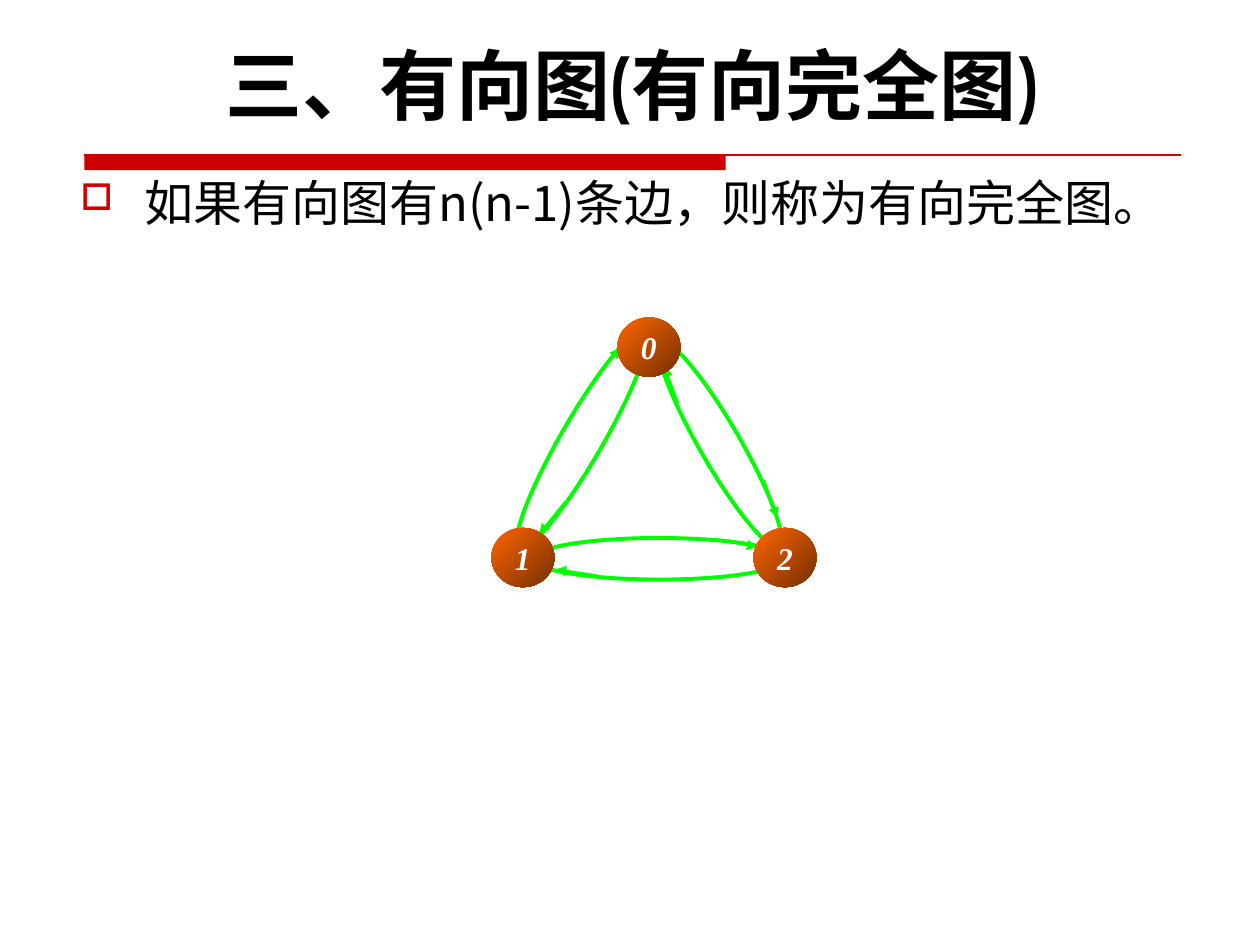
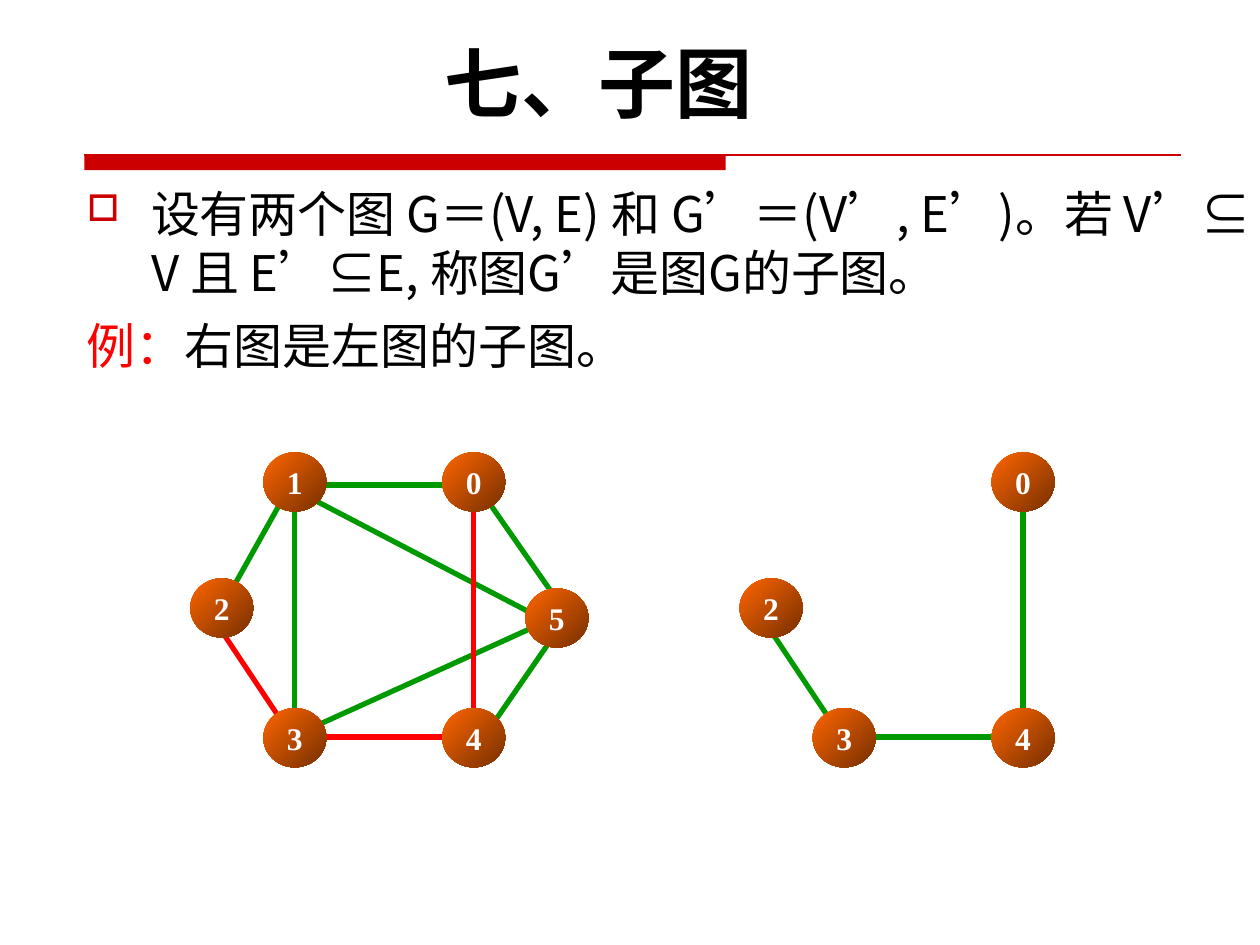
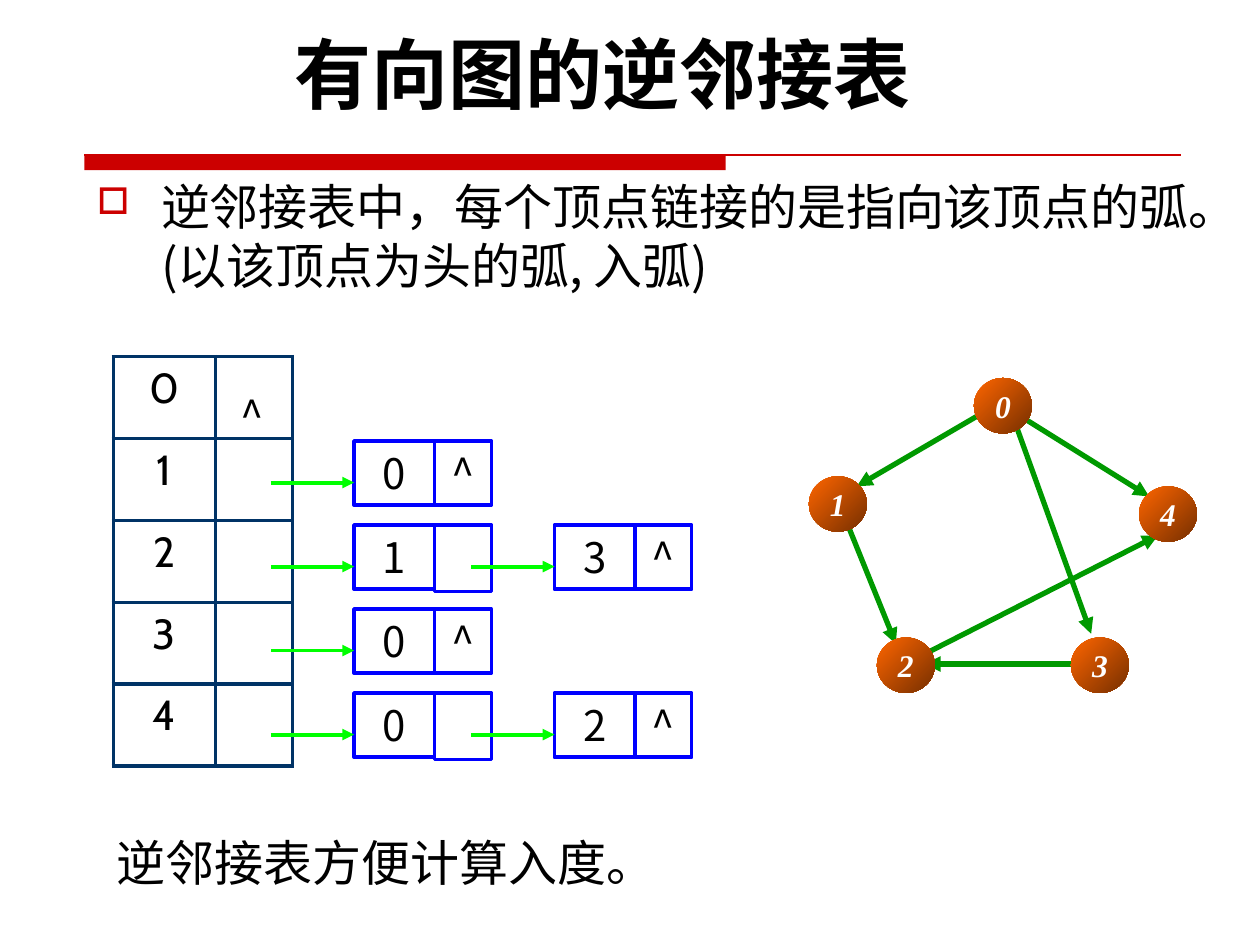
from lxml.etree import SubElement
from pptx import Presentation
from pptx.dml.color import RGBColor
from pptx.enum.shapes import MSO_CONNECTOR, MSO_SHAPE
from pptx.enum.text import MSO_ANCHOR, PP_ALIGN
from pptx.oxml.ns import qn
from pptx.util import Inches, Pt

COLORS = {
    "band": "CC0000", "text": "000000", "white": "FFFFFF", "red": "FF0000",
    "edge": "009900", "arrow": "00FF00", "node_light": "FF6600",
    "node_dark": "762F00", "table": "003366", "cell": "0000FF",
}
TITLE_FONT, BODY_FONT, NODE_FONT = "Cabin", "Noto Sans CJK SC", "Times New Roman"

# Complete directed graph: nodes are label -> (left, top)
COMPLETE_NODES = {"1": (3.9, 4.19), "2": (5.98, 4.19), "0": (4.9, 2.52)}
# Each oval (left, top, width, height, rotation) carries two opposite arcs
COMPLETE_OVALS = [
    (4.23, 4.27, 2, 0.33, 0),
    (3.62, 3.32, 2, 0.33, 300),
    (4.78, 3.37, 1.87, 0.32, 60),
]
COMPLETE_ARROWS = [
    (5.68, 4.28, 6.01, 4.34), (4.74, 4.57, 4.41, 4.52),
    (4.71, 3.03, 4.92, 2.76), (4.49, 3.98, 4.28, 4.24),
    (6.06, 3.81, 6.17, 4.11), (5.38, 3.2, 5.27, 2.91),
]

# Graph G; its subgraph is redrawn to the right
GRAPH_NODES = {
    "1": (2.09, 3.59), "3": (2.09, 5.62), "2": (1.51, 4.59),
    "5": (4.17, 4.67), "4": (3.51, 5.62), "0": (3.51, 3.59),
}
GRAPH_EDGES = [
    (3.59, 3.85, 2.59, 3.85), (3.84, 3.93, 4.42, 4.76),
    (2.26, 3.93, 1.84, 4.68), (2.34, 5.76, 2.34, 4.01),
    (4.34, 4.93, 2.42, 3.93), (4.34, 4.93, 2.51, 5.76),
    (4.42, 5.01, 3.84, 5.85),
]
SUBGRAPH_LABELS = "3240"
SUBGRAPH_EDGES = [
    (3.76, 4.01, 3.76, 5.68), (2.26, 5.76, 1.76, 5.01), (3.67, 5.85, 2.42, 5.85),
]
SUBGRAPH_SHIFT = 4.36

# Directed graph and its inverse adjacency list
DIRECTED_NODES = {
    "1": (6.42, 3.78), "3": (8.5, 5.06), "2": (6.96, 5.06),
    "4": (9.04, 3.86), "0": (7.73, 3),
}
DIRECTED_EDGES = [
    (8.11, 3.31, 9.12, 3.94), (6.73, 4.17, 7.11, 5.11),
    (7.88, 3.23, 6.8, 3.86), (8.04, 3.31, 8.66, 5.03),
    (8.5, 5.27, 7.34, 5.27), (7.34, 5.19, 9.19, 4.25),
]
INCOMING = [[], ["0"], ["1", "3"], ["0"], ["0", "2"]]


def rgb(name):
    return RGBColor.from_string(COLORS[name])


def style(paragraph, size, font=BODY_FONT, color="text", bold=False, italic=False,
          align=PP_ALIGN.LEFT):
    paragraph.alignment = align
    paragraph.font.size = Pt(size)
    paragraph.font.name = font
    paragraph.font.bold = bold
    paragraph.font.italic = italic
    if color:
        paragraph.font.color.rgb = rgb(color)
    properties = paragraph._p.pPr.find(qn("a:defRPr"))
    SubElement(properties, qn("a:ea"), typeface=BODY_FONT)


def add_bullet(paragraph):
    properties = paragraph._p.get_or_add_pPr()
    properties.set("marL", str(Inches(0.51)))
    properties.set("indent", str(-Inches(0.51)))
    color = SubElement(properties, qn("a:buClr"))
    SubElement(color, qn("a:srgbClr"), val=COLORS["band"])
    SubElement(properties, qn("a:buSzPct"), val="75000")
    SubElement(properties, qn("a:buChar"), char="□")


def add_text(slide, left, top, width, height, text, size=28, bullet=False, **font):
    box = slide.shapes.add_textbox(Inches(left), Inches(top), Inches(width), Inches(height))
    frame = box.text_frame
    frame.word_wrap = True
    paragraph = frame.paragraphs[0]
    paragraph.text = text
    if bullet:
        add_bullet(paragraph)
    style(paragraph, size, **font)
    return frame


def add_line(slide, ends, color, width, arrow=False):
    line = slide.shapes.add_connector(MSO_CONNECTOR.STRAIGHT, *map(Inches, ends))
    line.line.color.rgb = rgb(color)
    line.line.width = Pt(width)
    if arrow:
        SubElement(line.line._get_or_add_ln(), qn("a:tailEnd"), type="triangle")
    SubElement(line._element.spPr, qn("a:effectLst"))


def add_outline(slide, kind, left, top, width, height, color, weight):
    """Add an unfilled shape."""
    shape = slide.shapes.add_shape(kind, *map(Inches, (left, top, width, height)))
    shape.shadow.inherit = False
    shape.fill.background()
    shape.line.color.rgb = rgb(color)
    shape.line.width = Pt(weight)
    return shape


def add_nodes(slide, nodes, width=0.5, height=0.47, italic=False):
    for label, (left, top) in nodes.items():
        node = slide.shapes.add_shape(
            MSO_SHAPE.OVAL, *map(Inches, (left, top, width, height)))
        node.shadow.inherit = False
        node.line.fill.background()
        node.fill.gradient()
        node.fill.gradient_angle = 315
        for stop, color, position in zip(
                node.fill.gradient_stops, ("node_light", "node_dark"), (0, 1)):
            stop.color.rgb = rgb(color)
            stop.position = position
        frame = node.text_frame
        frame.word_wrap = False
        frame.margin_left = frame.margin_right = 0
        frame.vertical_anchor = MSO_ANCHOR.MIDDLE
        frame.text = label
        style(frame.paragraphs[0], 18, NODE_FONT, "white", True, italic, PP_ALIGN.CENTER)


def add_slide(presentation, title, left, top):
    """Add a slide with the red band and a title."""
    slide = presentation.slides.add_slide(presentation.slide_layouts[6])
    band = slide.shapes.add_shape(
        MSO_SHAPE.RECTANGLE, *map(Inches, (0.67, 1.23, 5.09, 0.12)))
    band.shadow.inherit = False
    band.fill.solid()
    band.fill.fore_color.rgb = rgb("band")
    band.line.fill.background()
    add_line(slide, (0.67, 1.23, 9.37, 1.23), "band", 0.75)
    add_text(slide, left, top, 9.25, 0.84, title, 44, font=TITLE_FONT, bold=True,
             align=PP_ALIGN.CENTER)
    return slide


def add_cell(slide, left, top, width, height, text=""):
    cell = add_outline(slide, MSO_SHAPE.RECTANGLE, left, top, width, height, "cell", 2)
    cell.text_frame.vertical_anchor = MSO_ANCHOR.TOP
    if text:
        cell.text_frame.text = text
        style(cell.text_frame.paragraphs[0], 24, align=PP_ALIGN.CENTER)


def add_vertex_table(slide):
    table_frame = slide.shapes.add_table(
        len(INCOMING), 2, *map(Inches, (0.9, 2.83, 1.42, 3.25)))
    table = table_frame.table
    table.first_row = table.horz_banding = False
    for column, width in zip(table.columns, (0.81, 0.61)):
        column.width = Inches(width)
    for index, row in enumerate(table.rows):
        row.height = Inches(0.65)
        row.cells[0].text = str(index)
        style(row.cells[0].text_frame.paragraphs[0], 24, TITLE_FONT, align=PP_ALIGN.CENTER)
        for cell in row.cells:
            properties = cell._tc.get_or_add_tcPr()
            for side in ("lnL", "lnR", "lnT", "lnB"):
                border = SubElement(properties, qn(f"a:{side}"), w=str(Pt(2.25)))
                fill = SubElement(border, qn("a:solidFill"))
                SubElement(fill, qn("a:srgbClr"), val=COLORS["table"])
            cell.fill.background()


def add_chains(slide):
    """Draw the linked list cells of each vertex that has incoming arcs."""
    for row, sources in enumerate(INCOMING):
        top = 3.5 + (row - 1) * 2 / 3
        for position, source in enumerate(sources):
            left = 2.81 + position * 1.59
            is_last = position == len(sources) - 1
            add_cell(slide, left, top, 0.64, 0.51, source)
            add_cell(slide, left + 0.64, top, 0.45, 0.51 if is_last else 0.53,
                     "^" if is_last else "")
            add_line(slide, (left - 0.66, top + 0.33, left, top + 0.33), "arrow", 2.25, True)


def build_complete_graph(presentation):
    slide = add_slide(presentation, "三、有向图(有向完全图)", 0.39, 0.25)
    add_text(slide, 0.54, 1.32, 9.58, 0.67,
             "如果有向图有n(n-1)条边，则称为有向完全图。", bullet=True)
    for *place, rotation in COMPLETE_OVALS:
        oval = add_outline(slide, MSO_SHAPE.OVAL, *place, "arrow", 2.25)
        oval.rotation = rotation
    for ends in COMPLETE_ARROWS:
        add_line(slide, ends, "arrow", 1.5, True)
    add_nodes(slide, COMPLETE_NODES, italic=True)


def build_subgraph(presentation):
    slide = add_slide(presentation, "七、子图", 0.13, 0.23)
    frame = add_text(
        slide, 0.59, 1.41, 9.58, 4.42,
        "设有两个图 G＝(V, E) 和 G’＝(V’, E’)。若 V’⊆ V 且 E’⊆E, 称图G’是图G的子图。",
        bullet=True)
    example = frame.add_paragraph()
    for text, color in (("例：", "red"), ("右图是左图的子图。", "text")):
        run = example.add_run()
        run.text = text
        run.font.color.rgb = rgb(color)
    example.space_before = Pt(8)
    style(example, 28, color=None)

    for ends in GRAPH_EDGES:
        add_line(slide, ends, "edge", 3)
    for x1, y1, x2, y2 in SUBGRAPH_EDGES:
        add_line(slide, (x1, y1, x2, y2), "red", 3)
        add_line(slide, (x1 + SUBGRAPH_SHIFT, y1, x2 + SUBGRAPH_SHIFT, y2), "edge", 3)
    add_nodes(slide, GRAPH_NODES)
    shifted = {label: (GRAPH_NODES[label][0] + SUBGRAPH_SHIFT, GRAPH_NODES[label][1])
               for label in SUBGRAPH_LABELS}
    add_nodes(slide, shifted)


def build_inverse_list(presentation):
    slide = add_slide(presentation, "有向图的逆邻接表", 0.16, 0.16)
    add_text(slide, 0.67, 1.35, 9.58, 0.65,
             "逆邻接表中，每个顶点链接的是指向该顶点的弧。(以该顶点为头的弧, 入弧)",
             bullet=True)
    add_vertex_table(slide)
    for ends in DIRECTED_EDGES:
        add_line(slide, ends, "edge", 3, True)
    add_nodes(slide, DIRECTED_NODES, 0.46, 0.44, italic=True)
    add_chains(slide)
    add_text(slide, -0.56, 3.04, 5.12, 0.5, "^", 24, align=PP_ALIGN.CENTER)
    add_text(slide, 0.83, 6.56, 4.85, 0.57, "逆邻接表方便计算入度。")


def main():
    presentation = Presentation()
    presentation.slide_width = Inches(10)
    presentation.slide_height = Inches(7.5)
    build_complete_graph(presentation)
    build_subgraph(presentation)
    build_inverse_list(presentation)
    presentation.save("out.pptx")


if __name__ == "__main__":
    main()
